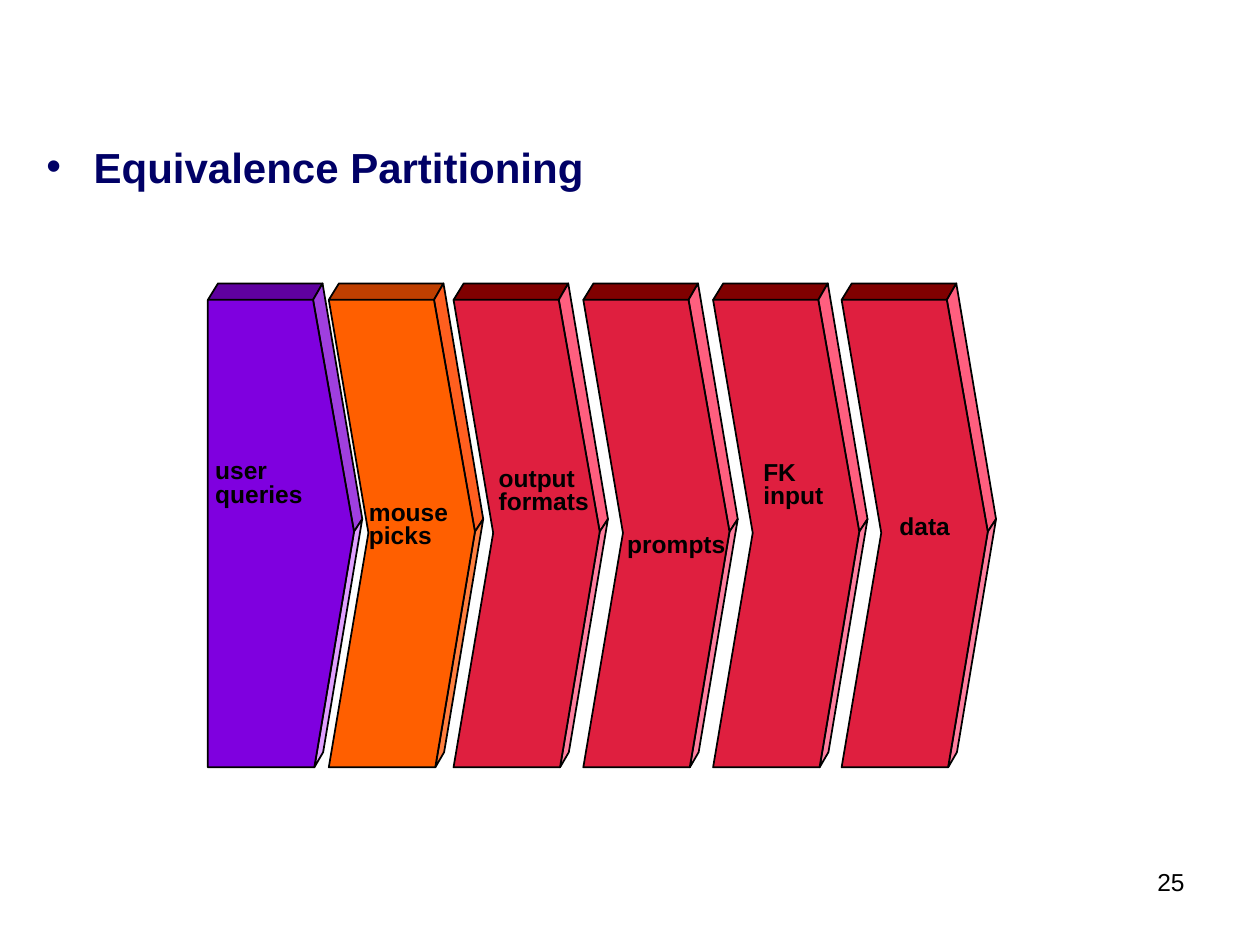
"""Build a slide on equivalence partitioning with six solid chevrons."""
from dataclasses import dataclass

from lxml.etree import SubElement
from pptx import Presentation
from pptx.dml.color import RGBColor
from pptx.enum.text import MSO_AUTO_SIZE as AutoSize, PP_ALIGN as Align
from pptx.oxml.ns import qn
from pptx.shapes.autoshape import Shape
from pptx.slide import Slide
from pptx.util import Emu, Inches, Pt

COLUMNS, ROWS = 100, 75
CELL = Inches(10) // COLUMNS
COLORS = {
    "ink": "000000", "title": "000066",
    "violet top": "5F009F", "violet upper": "9F3FDF",
    "violet lower": "DF9FFF", "violet front": "7F00DF",
    "orange top": "BF3F00", "orange upper": "FF5F1F",
    "orange lower": "FF7F3F", "orange front": "FF5F00",
    "red top": "800000", "red upper": "FF5F7F",
    "red lower": "FF7F9F", "red front": "DF1F3F",
}
BACK_TOP, FRONT_TOP, BACK_TIP, FRONT_TIP = 22.5, 23.8, 41.2, 42.2
NOTCH, BACK_BOTTOM, FRONT_BOTTOM = 42.3, 59.7, 60.9
FACES = {
    "top": [(8.35, FRONT_TOP), (0, FRONT_TOP), (0.8, BACK_TOP), (9.1, BACK_TOP)],
    "upper": [(9.1, BACK_TOP), (8.35, FRONT_TOP), (11.6, FRONT_TIP), (12.25, BACK_TIP)],
    "lower": [(12.25, BACK_TIP), (11.6, FRONT_TIP), (8.45, FRONT_BOTTOM), (9.15, BACK_BOTTOM)],
    "front": [(8.35, FRONT_TOP), (0, FRONT_TOP), (3.15, NOTCH), (0, FRONT_BOTTOM),
              (8.45, FRONT_BOTTOM), (11.6, FRONT_TIP)],
}


@dataclass(frozen=True)
class Partition:
    column: float
    hue: str
    lines: tuple[str, ...]
    label: tuple[float, float, float]
    notched: bool = True


PARTITIONS = [
    Partition(16.5, "violet", ("user", "queries"), (16.1, 36.1, 9.1), False),
    Partition(26.1, "orange", ("mouse", "picks"), (28.3, 39.4, 8.5)),
    Partition(36.0, "red", ("output", "formats"), (38.6, 36.7, 9.4)),
    Partition(46.3, "red", ("prompts",), (48.8, 41.9, 10)),
    Partition(56.6, "red", ("FK", "input"), (59.6, 36.2, 7)),
    Partition(66.8, "red", ("data",), (70.4, 40.5, 6.2)),
]


def cells(count: float) -> Emu:
    """Turn a number of grid cells into a length."""
    return Emu(round(count * CELL))


def color(name: str) -> RGBColor:
    """Look up a named colour."""
    return RGBColor.from_string(COLORS[name])


def add_text(slide: Slide, box: tuple[float, float, float, float], lines: tuple[str, ...],
             size: int = 14, ink: str = "ink", bold: bool = False) -> Shape:
    """Write lines of text in a box given in grid cells."""
    text = slide.shapes.add_textbox(*map(cells, box))
    frame = text.text_frame
    frame.word_wrap = True
    frame.text = "\n".join(lines)
    for paragraph in frame.paragraphs:
        font = paragraph.font
        font.name, font.size, font.bold = "Arial", Pt(size), bold
        font.color.rgb = color(ink)
    return text


def add_chevron(slide: Slide, partition: Partition) -> None:
    """Draw the four faces of one partition as a group."""
    faces = []
    for side, outline in FACES.items():
        corners = [(cells(partition.column + x), cells(y)) for x, y in outline
                   if partition.notched or y != NOTCH]
        builder = slide.shapes.build_freeform(*corners[0])
        builder.add_line_segments(corners[1:], close=True)
        face = builder.convert_to_shape()
        face.shadow.inherit = False
        face.fill.solid()
        face.fill.fore_color.rgb = color(f"{partition.hue} {side}")
        face.line.color.rgb = color("ink")
        face.line.width = Pt(1)
        faces.append(face)
    slide.shapes.add_group_shape(faces)


def add_label(slide: Slide, partition: Partition) -> None:
    """Write the name of one partition."""
    left, top, width = partition.label
    height = 0.9 + 1.9 * len(partition.lines)
    frame = add_text(slide, (left, top, width, height), partition.lines, bold=True).text_frame
    frame.word_wrap = False
    frame.auto_size = AutoSize.SHAPE_TO_FIT_TEXT
    for paragraph in frame.paragraphs:
        paragraph.line_spacing = 0.8


def add_heading(slide: Slide) -> None:
    """Write the bulleted heading."""
    heading = add_text(slide, (2.7, 10.7, 90, 9.5), ("Equivalence Partitioning",),
                       24, "title", True).text_frame.paragraphs[0]
    heading.space_before = Pt(6)
    properties = heading._p.get_or_add_pPr()
    properties.set("marL", str(cells(3.75)))
    properties.set("indent", str(-cells(3.75)))
    defaults = properties.find(qn("a:defRPr"))
    for tag, attributes in (("a:buFont", {"typeface": "Arial"}), ("a:buChar", {"char": "•"})):
        defaults.addprevious(SubElement(properties, qn(tag), attributes))


def main() -> None:
    """Assemble and save the slide."""
    deck = Presentation()
    deck.slide_width, deck.slide_height = cells(COLUMNS), cells(ROWS)
    slide = deck.slides.add_slide(deck.slide_layouts[6])
    number = add_text(slide, (74.4, 68.3, 20.6, 5.2), ("25",))
    number.text_frame.paragraphs[0].alignment = Align.RIGHT
    add_heading(slide)
    for partition in PARTITIONS:
        add_chevron(slide, partition)
    for partition in PARTITIONS:
        add_label(slide, partition)
    deck.save("out.pptx")


if __name__ == "__main__":
    main()
